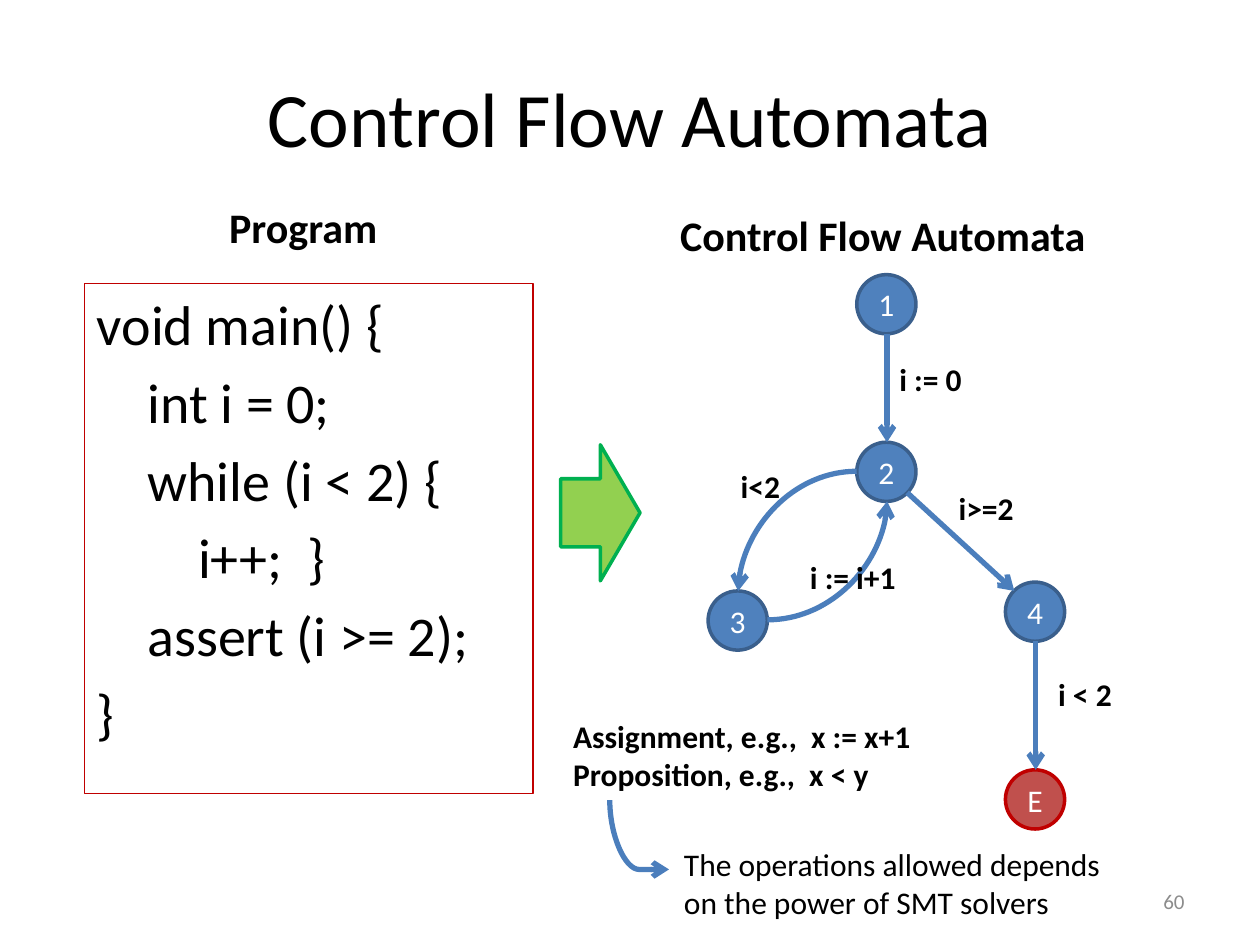
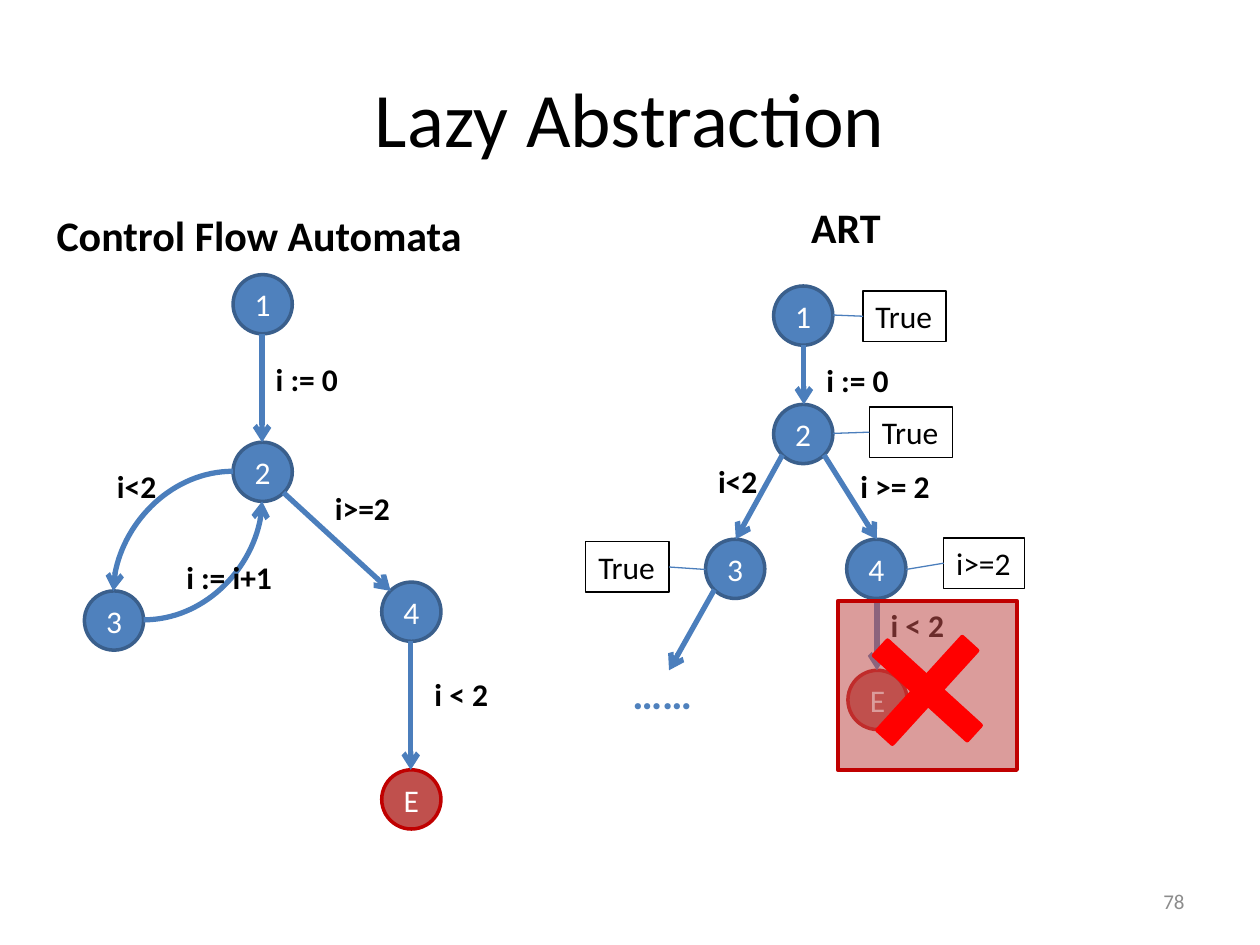
from dataclasses import dataclass
from math import cos, radians, sin

from lxml.etree import SubElement
from pptx import Presentation
from pptx.dml.color import RGBColor
from pptx.enum.shapes import MSO_CONNECTOR, MSO_SHAPE
from pptx.enum.text import MSO_ANCHOR, MSO_AUTO_SIZE, PP_ALIGN
from pptx.oxml.ns import qn
from pptx.util import Pt

PX = 9144  # 100 px to the inch
SIZE = 47  # diameter of a state
EAST, SOUTH, WEST, NORTH = 0, 90, 180, 270
SE, SW, NW = 45, 135, 225


@dataclass(frozen=True)
class Theme:
    font: str = "Calibri"
    ink: str = "000000"
    light: str = "FFFFFF"
    blue: str = "4F81BD"
    rim: str = "3A5F8C"
    edge: str = "4B7EBC"
    red: str = "C0504D"
    dark: str = "C00000"
    cross: str = "FF0000"
    lime: str = "92D050"
    green: str = "00B050"
    grey: str = "8C8C8C"
    title: int = 44
    code: int = 32
    head: int = 24
    body: int = 18
    foot: int = 12


def rgb(code):
    return RGBColor.from_string(code)


def px(*nums):
    return [n * PX for n in nums]


def port(node, angle):
    """Point on the rim of a state, clockwise from east."""
    x, y = node
    turn = radians(angle)
    return round(x + SIZE / 2 * cos(turn)), round(y + SIZE / 2 * sin(turn))


class Deck:
    def __init__(self, theme):
        self.theme = theme
        self.prs = Presentation()
        self.prs.slide_width, self.prs.slide_height = px(1000, 750)

    def page(self, title, number):
        t = self.theme
        self.slide = self.prs.slides.add_slide(self.prs.slide_layouts[6])
        self.text((50, 30, 900, 125), [title], t.title, wrap=True,
                  align=PP_ALIGN.CENTER, anchor=MSO_ANCHOR.MIDDLE)
        self.text((717, 695, 233, 40), [number], t.foot, t.grey, wrap=True,
                  align=PP_ALIGN.RIGHT, anchor=MSO_ANCHOR.MIDDLE)

    def fill(self, frame, lines, size, color, bold=False, align=None, gap=0):
        """Put lines into a text frame, one paragraph each."""
        for i, line in enumerate(lines):
            para = frame.add_paragraph() if i else frame.paragraphs[0]
            para.alignment = align
            if i and gap:
                para.space_before = Pt(gap)
            run = para.add_run()
            run.text = line
            font = run.font
            font.name, font.size, font.bold = self.theme.font, Pt(size), bold
            font.color.rgb = rgb(color)

    def text(self, area, lines, size=None, color=None, bold=False, wrap=False,
             align=None, anchor=MSO_ANCHOR.TOP, frame=None, gap=0):
        """Text box; frame is the colour of its outline, if any."""
        t = self.theme
        box = self.slide.shapes.add_textbox(*px(*area))
        body = box.text_frame
        body.word_wrap = wrap
        body.auto_size = MSO_AUTO_SIZE.NONE if wrap else MSO_AUTO_SIZE.SHAPE_TO_FIT_TEXT
        body.vertical_anchor = anchor
        if frame:
            box.line.color.rgb = rgb(frame)
            box.line.width = Pt(0.75)
        self.fill(body, lines, size or t.body, color or t.ink, bold, align, gap)
        return box

    def label(self, x, y, width, text):
        self.text((x, y, width, 40), [text], bold=True)

    def head(self, x, y, width, text, color=None):
        self.text((x, y, width, 50), [text], self.theme.head, color, bold=True)

    def shape(self, kind, area, fill, line, width=2, alpha=None):
        item = self.slide.shapes.add_shape(kind, *px(*area))
        item.shadow.inherit = False
        item.fill.solid()
        item.fill.fore_color.rgb = rgb(fill)
        item.line.color.rgb = rgb(line)
        item.line.width = Pt(width)
        if alpha:
            tone = item._element.spPr.find(qn("a:solidFill"))[0]
            SubElement(tone, qn("a:alpha"), val=str(alpha * 1000))
        return item

    def node(self, x, y, name):
        """State with its top left corner at x, y; gives its centre."""
        t = self.theme
        fill, line = (t.red, t.dark) if name == "E" else (t.blue, t.rim)
        dot = self.shape(MSO_SHAPE.OVAL, (x, y, SIZE, SIZE), fill, line)
        body = dot.text_frame
        body.vertical_anchor = MSO_ANCHOR.MIDDLE
        body.margin_left = body.margin_right = 0
        self.fill(body, [name], t.body, t.light, align=PP_ALIGN.CENTER)
        return x + SIZE / 2, y + SIZE / 2

    def line(self, start, end, kind=MSO_CONNECTOR.STRAIGHT, width=3, arrow=True):
        link = self.slide.shapes.add_connector(kind, *px(*start, *end))
        link.line.color.rgb = rgb(self.theme.edge)
        link.line.width = Pt(width)
        props = link._element.spPr
        if arrow:
            SubElement(props.find(qn("a:ln")), qn("a:tailEnd"), type="arrow")
        SubElement(props, qn("a:effectLst"))
        return link

    def arc(self, start, end):
        """Quarter turn that leaves level and arrives upright."""
        link = self.line(start, end, MSO_CONNECTOR.CURVE)
        link._element.spPr.find(qn("a:prstGeom")).set("prst", "curvedConnector2")

    def hook(self, start, end):
        """Curve that drops, then runs level to its end."""
        (x, y), (right, low) = start, end
        midx, midy = (x + right) // 2, (y + low) // 2
        wide, tall = low - y, right - x
        left, top = midx - wide // 2, midy - tall // 2
        link = self.line((left + wide, top), (left, top + tall), MSO_CONNECTOR.CURVE)
        props = link._element.spPr
        props.find(qn("a:xfrm")).set("rot", str(270 * 60000))
        guides = props.find(qn("a:prstGeom")).find(qn("a:avLst"))
        SubElement(guides, qn("a:gd"), name="adj1", fmla="val 100200")

    def tag(self, node, angle, x, y, width, text):
        """Boxed fact tied to the state beside it."""
        box = self.text((x, y, width, 40), [text], frame=self.theme.ink)
        start = port(node, angle)
        side, end = (1, x) if angle == EAST else (3, x + width)
        link = self.line(start, (end, y + 20), width=0.75, arrow=False)
        link.end_connect(box, side)

    def graph(self, x):
        """Control flow automaton, with its heading at x."""
        spots = {"1": (150, 218), "2": (150, 351), "3": (32, 469),
                 "4": (268, 462), "E": (268, 611)}
        node = {key: self.node(x + dx, y, key) for key, (dx, y) in spots.items()}
        for a, out, b, into in (("1", SOUTH, "2", NORTH), ("2", SE, "4", NW),
                                ("4", SOUTH, "E", NORTH)):
            self.line(port(node[a], out), port(node[b], into))
        self.arc(port(node["2"], WEST), port(node["3"], NORTH))
        self.arc(port(node["3"], EAST), port(node["2"], SOUTH))
        for dx, y, width, text in ((174, 281, 70, "i := 0"), (48, 366, 51, "i<2"),
                                   (221, 383, 64, "i>=2"), (103, 438, 89, "i := i+1"),
                                   (300, 531, 63, "i < 2")):
            self.label(x + dx, y, width, text)
        self.head(x, 161, 345, "Control Flow Automata")


def flow(deck):
    t = deck.theme
    deck.page("Control Flow Automata", "60")
    code = ["void main() {", "    int i = 0;", "    while (i < 2) {",
            "        i++;  }", "    assert (i >= 2);", "}"]
    deck.text((67, 225, 356, 405), code, t.code, wrap=True, frame=t.dark, gap=6)
    deck.graph(530)
    deck.head(172, 155, 139, "Program")
    deck.shape(MSO_SHAPE.RIGHT_ARROW, (445, 353, 63, 108), t.lime, t.green)
    deck.text((445, 564, 296, 71),
              ["Assignment, e.g.,  x := x+1", "Proposition, e.g.,  x < y"], bold=True)
    deck.hook((484, 635), (531, 690))
    deck.text((533, 666, 361, 71),
              ["The operations allowed depends", "on the power of SMT solvers"])


def lazy(deck):
    t = deck.theme
    deck.page("Lazy Abstraction", "78")
    deck.graph(35)
    deck.head(634, 155, 76, "ART")
    one = deck.node(614, 227, "1")
    two = deck.node(614, 321, "2")
    three = deck.node(560, 428, "3")
    four = deck.node(672, 428, "4")
    error = deck.node(673, 532, "E")
    for a, out, b in ((one, SOUTH, two), (two, SW, three),
                      (two, SE, four), (four, SOUTH, error)):
        deck.line(port(a, out), port(b, NORTH))
    deck.line(port(three, SW), (531, 532))
    deck.tag(one, EAST, 685, 231, 66, "True")
    deck.tag(two, EAST, 690, 323, 66, "True")
    deck.tag(three, WEST, 465, 430, 66, "True")
    deck.tag(four, EAST, 749, 427, 64, "i>=2")
    for spot in ((646, 282, 70, "i := 0"), (560, 362, 51, "i<2"),
                 (673, 366, 76, "i >= 2"), (697, 476, 63, "i < 2")):
        deck.label(*spot)
    deck.head(492, 525, 68, "……", t.blue)
    deck.shape(MSO_SHAPE.RECTANGLE, (665, 477, 142, 134), t.red, t.dark, 2.5, alpha=56)
    cross = deck.shape(MSO_SHAPE.CROSS, (686, 498, 100, 100), t.cross, t.cross, 2.5)
    cross.adjustments[0] = 0.42
    cross.rotation = 42.3


def main():
    deck = Deck(Theme())
    flow(deck)
    lazy(deck)
    deck.prs.save("out.pptx")


if __name__ == "__main__":
    main()
